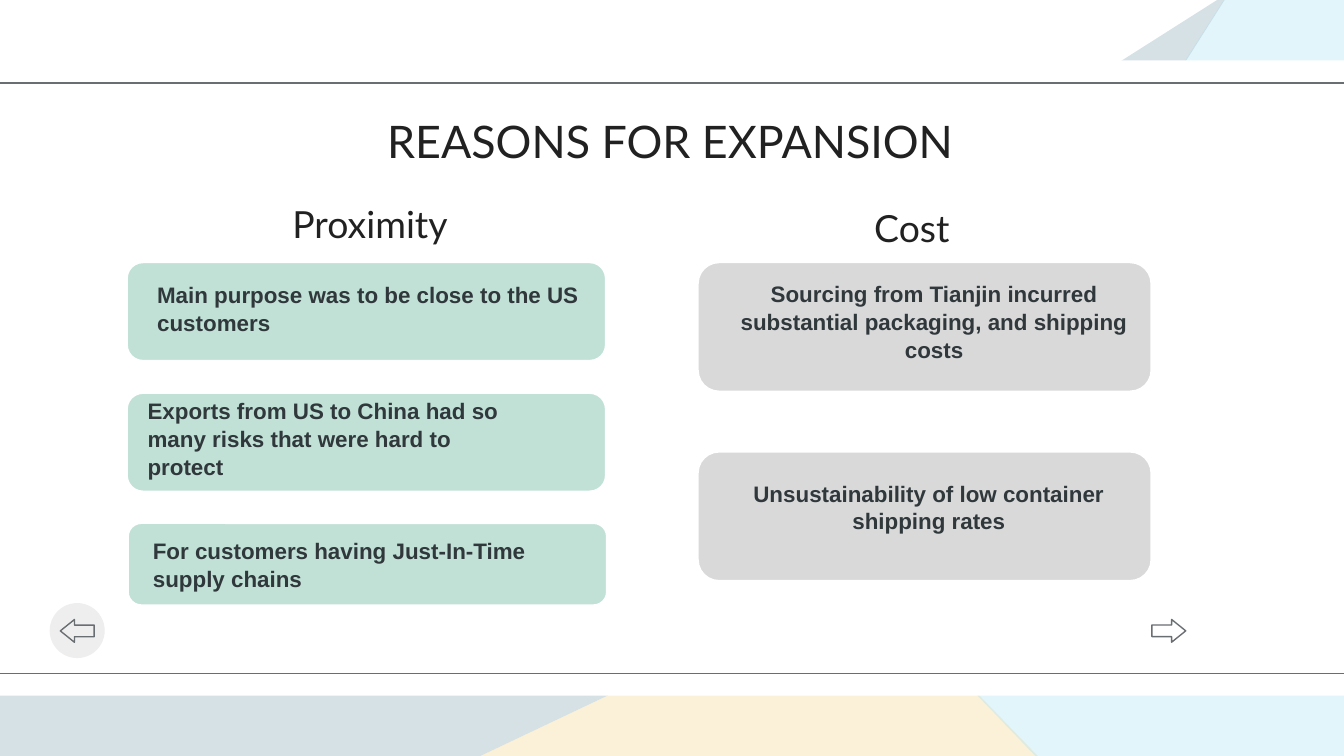
"""Build the slide on reasons for expansion."""
from lxml import etree
from pptx import Presentation
from pptx.dml.color import RGBColor
from pptx.enum.shapes import MSO_CONNECTOR, MSO_SHAPE
from pptx.enum.text import MSO_ANCHOR, PP_ALIGN
from pptx.oxml.ns import qn
from pptx.util import Cm, Pt

RECT, ROUND = MSO_SHAPE.RECTANGLE, MSO_SHAPE.ROUNDED_RECTANGLE
OVAL, ARROW = MSO_SHAPE.OVAL, MSO_SHAPE.RIGHT_ARROW
STRAIGHT = MSO_CONNECTOR.STRAIGHT
LEFT, CENTER = PP_ALIGN.LEFT, PP_ALIGN.CENTER
TOP, MIDDLE = MSO_ANCHOR.TOP, MSO_ANCHOR.MIDDLE

WHITE = RGBColor(0xFF, 0xFF, 0xFF)
SLATE = RGBColor(0x96, 0xB3, 0xC1)
SAND = RGBColor(0xF7, 0xE5, 0xB7)
SKY = RGBColor(0x9E, 0xDD, 0xEF)
MINT = RGBColor(0xC1, 0xE1, 0xD6)
GRAY = RGBColor(0xD9, 0xD9, 0xD9)
PALE = RGBColor(0xEE, 0xEE, 0xEE)
RULE = RGBColor(0x69, 0x6E, 0x72)
INK = RGBColor(0x21, 0x21, 0x21)
BODY = RGBColor(0x30, 0x38, 0x3C)

WEDGES = [
    (SLATE, 39, [(8.26, 14.68), (-0.69, 14.68), (-0.69, 6.76),
                 (11.73, 7.16), (23.24, -0.15), (16.23, 10.9)]),
    (SAND, 53, [(8.36, 14.63), (19.94, 14.63), (16.31, 10.87)]),
    (SKY, 29, [(19.94, 14.68), (25.63, 14.68), (25.63, -0.25),
               (23.29, -0.25), (16.23, 10.8)]),
]
CARDS = [
    (MINT, (2.39, 4.95, 9.07, 1.88)),
    (MINT, (2.39, 7.42, 9.07, 1.88)),
    (MINT, (2.41, 9.88, 9.07, 1.57)),
    (GRAY, (13.18, 4.95, 8.59, 2.46)),
    (GRAY, (13.18, 8.53, 8.59, 2.46)),
]
HEADS = [
    ("REASONS FOR EXPANSION", 24, (2.67, 1.9, 19.99, 1.47)),
    ("Proximity", 20, (2.46, 3.56, 9.07, 1.47)),
    ("Cost", 20, (12.7, 3.63, 9.07, 1.47)),
]
POINTS = [
    ("Main purpose was to be close to the US customers",
     LEFT, (2.72, 5.03, 8.59, 1.57)),
    ("Exports from US to China had so many risks that were hard to protect",
     LEFT, (2.54, 7.66, 7.47, 1.24)),
    ("For customers having Just-In-Time supply chains",
     LEFT, (2.64, 9.88, 8.59, 1.57)),
    ("Sourcing from Tianjin incurred substantial packaging, and shipping costs",
     CENTER, (13.54, 5.13, 8.23, 1.88)),
    ("Unsustainability of low container shipping rates",
     CENTER, (13.54, 8.84, 8.03, 1.47)),
]


def paint(shape, fill=None, line=None, width=0.75):
    """Set the fill and line of a shape and drop its shadow."""
    shape.shadow.inherit = False
    if fill is None:
        shape.fill.background()
    else:
        shape.fill.solid()
        shape.fill.fore_color.rgb = fill
    if line is None:
        shape.line.fill.background()
    else:
        shape.line.color.rgb = line
        shape.line.width = Pt(width)


def add_wedge(slide, color, alpha, points):
    """Add a see-through polygon."""
    dots = [(Cm(x), Cm(y)) for x, y in points]
    pen = slide.shapes.build_freeform(*dots[0])
    pen.add_line_segments(dots[1:])
    shape = pen.convert_to_shape()
    paint(shape, color)
    tone = shape.fill._xPr.find(".//" + qn("a:srgbClr"))
    etree.SubElement(tone, qn("a:alpha"), val=str(alpha * 1000))


def add_rule(slide, y):
    """Add a thin line across the slide."""
    line = slide.shapes.add_connector(
        STRAIGHT, Cm(-0.3), Cm(y), Cm(25.5), Cm(y))
    line.line.color.rgb = RULE
    line.line.width = Pt(0.75)
    etree.SubElement(line._element.spPr, qn("a:effectLst"))


def add_form(slide, kind, box, fill=None, line=None, width=0.75):
    """Add a painted preset shape."""
    shape = slide.shapes.add_shape(kind, *map(Cm, box))
    paint(shape, fill, line, width)
    return shape


def add_arrow(slide, x, turn):
    """Add an outlined arrow, turned by an angle."""
    shape = add_form(slide, ARROW, (x, 11.71, 0.64, 0.43), line=RULE)
    shape.adjustments[0] = 0.51
    shape.adjustments[1] = 0.62
    shape.rotation = turn


def add_text(slide, text, box, align, anchor, name, size, color, bold, space):
    """Add a text box with one styled paragraph."""
    frame = slide.shapes.add_textbox(*map(Cm, box)).text_frame
    frame.word_wrap = True
    frame.vertical_anchor = anchor
    frame.margin_left = frame.margin_right = Cm(0.25)
    frame.margin_top = frame.margin_bottom = Cm(0.25)
    frame.text = text
    para = frame.paragraphs[0]
    para.alignment = align
    para.line_spacing = space
    font = para.runs[0].font
    font.name, font.size, font.bold = name, Pt(size), bold
    font.color.rgb = color


def main():
    """Build and save the slide."""
    deck = Presentation()
    deck.slide_width, deck.slide_height = Cm(25.4), Cm(14.29)
    slide = deck.slides.add_slide(deck.slide_layouts[6])
    for color, alpha, points in WEDGES:
        add_wedge(slide, color, alpha, points)
    add_form(slide, RECT, (-0.08, 1.14, 25.53, 12.01), WHITE)
    for y in (1.57, 12.73):
        add_rule(slide, y)
    for color, box in CARDS:
        add_form(slide, ROUND, box, color, WHITE, 1.5)
    for text, size, box in HEADS:
        add_text(slide, text, box, CENTER, TOP, "Lato", size, INK, False, 1.0)
    for text, align, box in POINTS:
        add_text(slide, text, box, align, MIDDLE, "Arial", 12, BODY, True, 1.04)
    add_form(slide, OVAL, (0.94, 11.4, 1.04, 1.04), PALE)
    add_arrow(slide, 1.14, 180)
    add_arrow(slide, 21.77, 0)
    deck.save("out.pptx")


if __name__ == "__main__":
    main()
